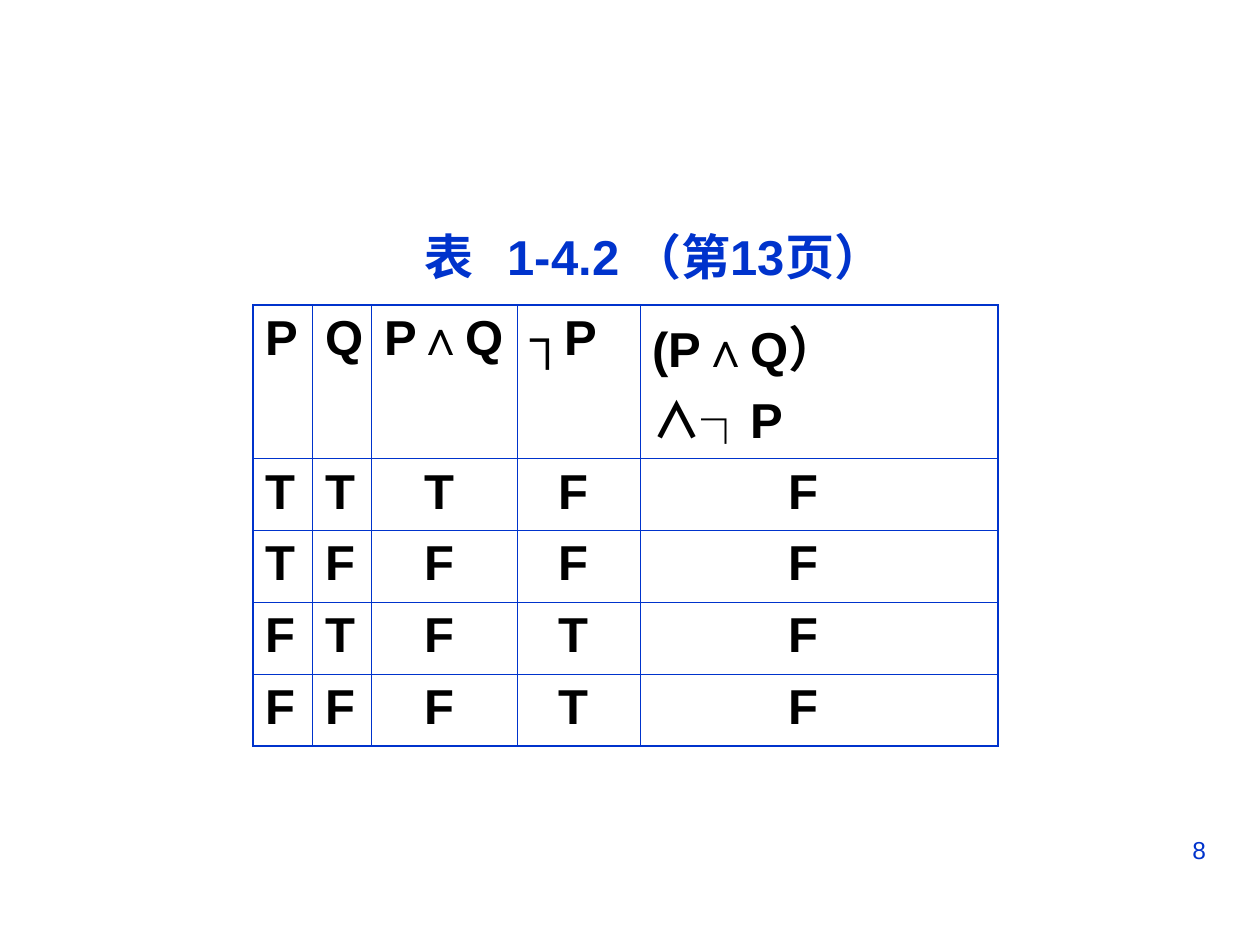
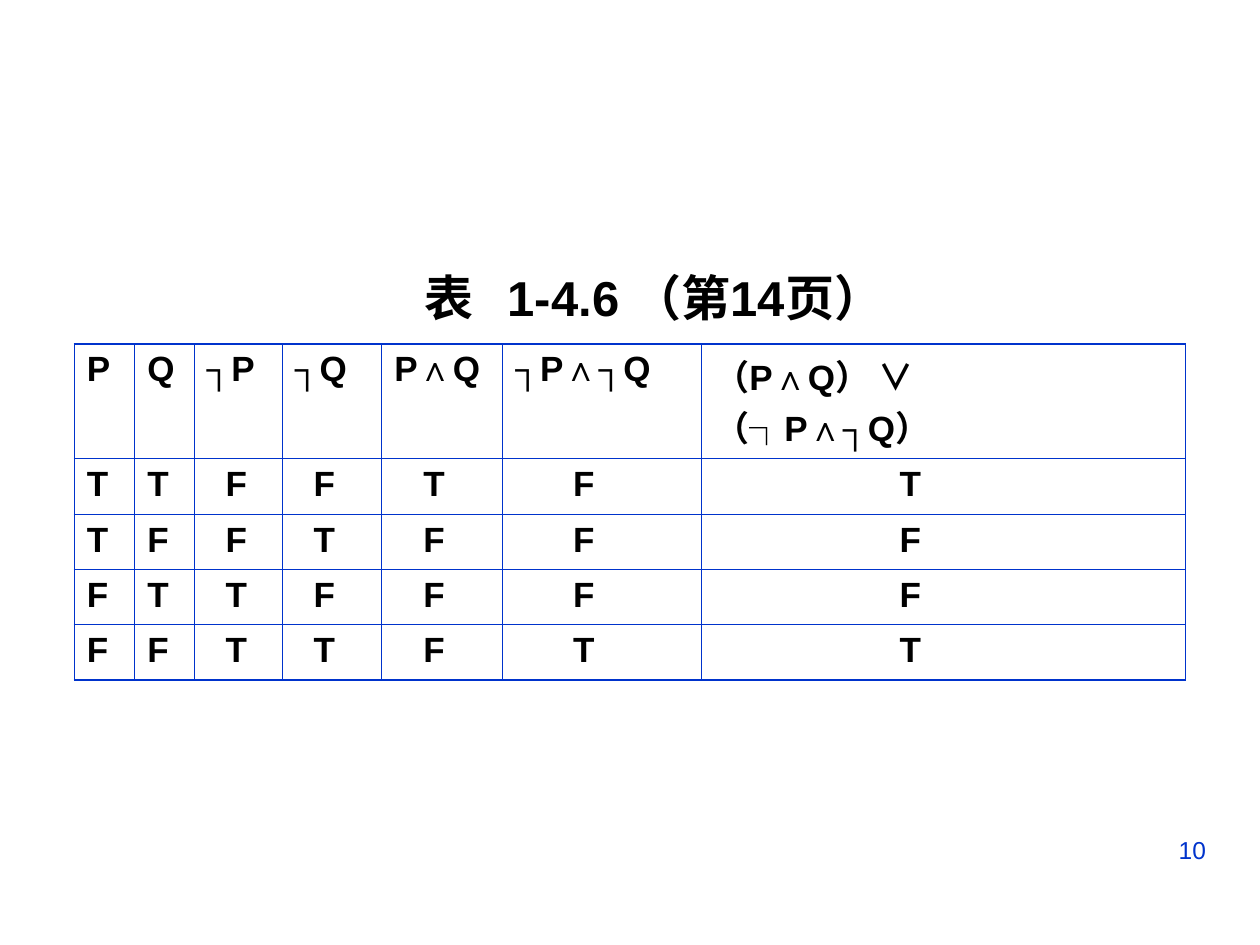
from lxml.etree import SubElement as Sub
from pptx import Presentation as Deck
from pptx.dml.color import RGBColor as Rgb
from pptx.enum.text import PP_ALIGN as Align
from pptx.oxml.ns import qn
from pptx.util import Inches, Pt

BLUE = "0033CC"
BLACK = "000000"
FACE = "Arial"
THIN, THICK = 0.45, 1.08
PAD = 0.1
TAB = 0.66


def paint(font, size, color, bold=False):
    """Set the face, size, colour and weight of a font."""
    font.name = FACE
    font.size = Pt(size)
    font.bold = bold
    font.color.rgb = Rgb.from_string(color)


def add_text(slide, text, box, size, color, bold=False, align=Align.LEFT, pad=PAD, tab=None):
    """Add a one-line text box, with a tab stop if one is given."""
    frame = slide.shapes.add_textbox(*map(Inches, box)).text_frame
    frame.word_wrap = True
    frame.margin_left = Inches(pad)
    line = frame.paragraphs[0]
    line.text = text
    line.alignment = align
    if tab:
        stops = Sub(line._p.get_or_add_pPr(), qn("a:tabLst"))
        Sub(stops, qn("a:tab"), pos=str(Inches(tab)), algn="l")
    paint(line.font, size, color, bold)


def add_title(slide, text, top, color):
    """Add the caption above a truth table."""
    add_text(slide, text, (3.17, top, 4.59, 0.65), 28, color, True, pad=0.2, tab=TAB)


def add_page(slide, number):
    """Add the page number at the lower right."""
    add_text(slide, str(number), (7.17, 6.58, 2.5, 0.52), 14, BLUE, align=Align.RIGHT)


def add_edge(cell, side, width):
    """Draw one border of a cell."""
    edge = Sub(cell._tc.get_or_add_tcPr(), qn(f"a:ln{side}"), w=str(Pt(width)))
    Sub(Sub(edge, qn("a:solidFill")), qn("a:srgbClr"), val=BLUE)


def fill_cell(cell, text, size, pad):
    """Write a cell with its left margin and no fill."""
    cell.text = text
    cell.margin_left = Inches(PAD + pad)
    for line in cell.text_frame.paragraphs:
        paint(line.font, size, BLACK, True)
    cell.fill.background()


def add_truth(slide, place, size, head, step, cols):
    """Add a truth table from columns of heading, values, width and indent."""
    deep = len(cols[0][1]) + 1
    wide = sum(col[2] for col in cols)
    box = (*place, wide, head + step * (deep - 1))
    table = slide.shapes.add_table(deep, len(cols), *map(Inches, box)).table
    table.first_row = table.horz_banding = False
    for y, row in enumerate(table.rows):
        row.height = Inches(step if y else head)
    for x, (name, marks, width, pad) in enumerate(cols):
        table.columns[x].width = Inches(width)
        for y, text in enumerate([name, *marks]):
            cell = table.cell(y, x)
            outer = {"L": x == 0, "R": x == len(cols) - 1, "T": y == 0, "B": y == deep - 1}
            for side, rim in outer.items():
                add_edge(cell, side, THICK if rim else THIN)
            fill_cell(cell, text, size, pad if y else 0)


def main():
    """Build both slides and save them."""
    deck = Deck()
    deck.slide_width, deck.slide_height = Inches(10), Inches(7.5)
    blank = deck.slide_layouts[6]

    slide = deck.slides.add_slide(blank)
    add_page(slide, 8)
    add_title(slide, "表\t1-4.2 （第13页）", 1.75, BLUE)
    add_truth(slide, (2.01, 2.42), 28, 1.22, 0.57, [
        ("P", "TTFF", 0.47, 0),
        ("Q", "TFTF", 0.47, 0),
        ("P∧Q", "TFFF", 1.16, 0.32),
        ("┐P", "FFTT", 0.97, 0.22),
        ("(P∧Q）\v∧┐P", "FFFF", 2.84, 1.08),
    ])

    slide = deck.slides.add_slide(blank)
    add_page(slide, 10)
    add_truth(slide, (0.59, 2.73), 20, 0.91, 0.44, [
        ("P", "TTFF", 0.48, 0),
        ("Q", "TFTF", 0.47, 0),
        ("┐P", "FFTT", 0.7, 0.15),
        ("┐Q", "FTFT", 0.79, 0.15),
        ("P∧Q", "TFFF", 0.96, 0.23),
        ("┐P∧┐Q", "FFFT", 1.58, 0.46),
        ("（P∧Q） ∨\v（┐P∧┐Q）", "TFFT", 3.84, 1.47),
    ])
    add_title(slide, "表\t1-4.6 （第14页）", 2.07, BLACK)

    deck.save("out.pptx")


if __name__ == "__main__":
    main()
